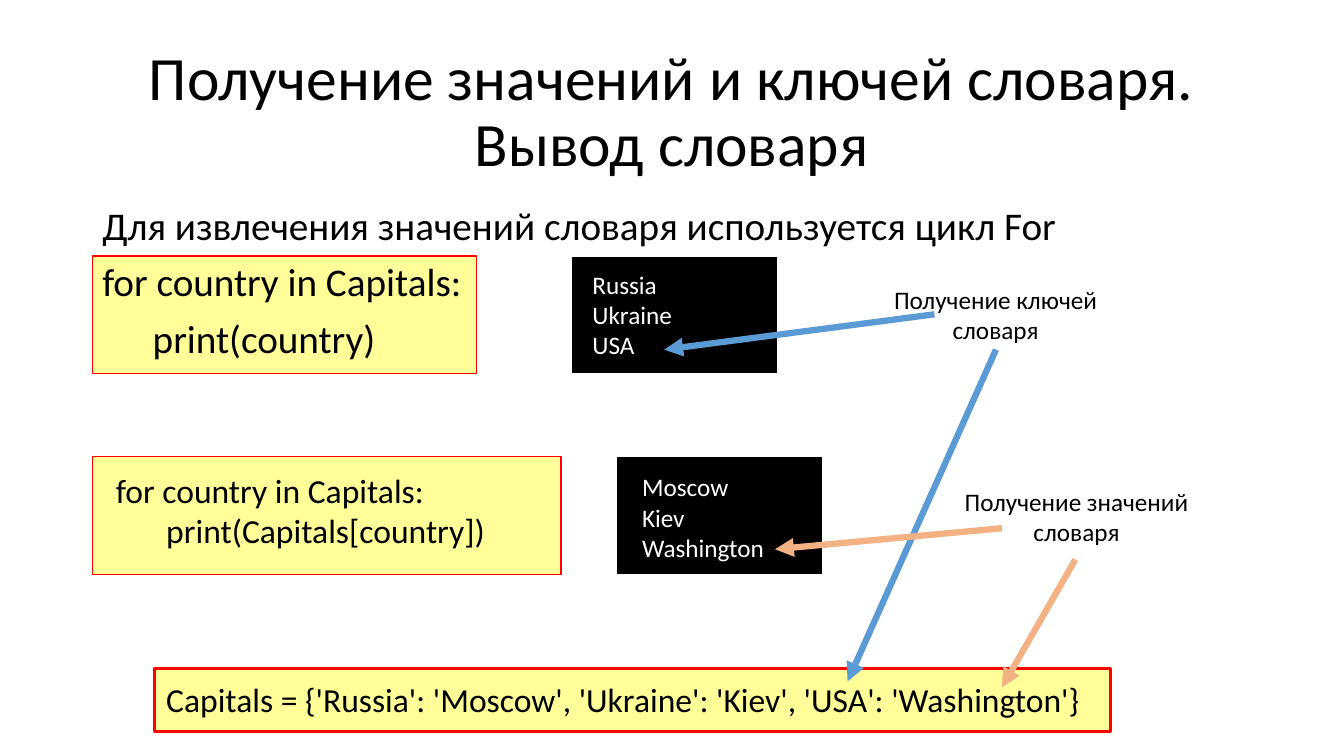
from lxml import etree
from pptx import Presentation
from pptx.dml.color import RGBColor
from pptx.enum.shapes import MSO_CONNECTOR, MSO_SHAPE
from pptx.enum.text import MSO_ANCHOR, PP_ALIGN
from pptx.oxml.ns import qn
from pptx.util import Cm, Pt

FONT = "Calibri"
COLORS = {"yellow": "FFFF99", "red": "FF0000", "black": "000000",
          "white": "FFFFFF", "keys": "5B9BD5", "values": "F4B183"}

# Lengths in cm
MARGIN, CONTENT_W = 2.33, 29.21
KEYS_Y, VALUES_Y, BOX_H = 6.45, 11.51, 2.97
OUTPUT_W, LABEL_W = 5.21, 6.6

# (left, top, width, height), fill, line, line width in points
BOXES = [
    ((MARGIN, KEYS_Y, 9.68, BOX_H), "yellow", "red", 1),
    ((14.4, KEYS_Y, OUTPUT_W, BOX_H), "black", "white", 1),
    ((MARGIN, VALUES_Y, 11.81, BOX_H), "yellow", "red", 1),
    ((15.52, VALUES_Y, OUTPUT_W, BOX_H), "black", "white", 1),
    ((3.89, 16.84, 24.1, 1.6), "yellow", "red", 2.25),
]

# (left, top, width, height), paragraphs, size in points, format options
TEXTS = [
    ((MARGIN, 1.02, CONTENT_W, 3.68),
     ["Получение значений и ключей словаря. Вывод словаря"], 44,
     {"center": True, "middle": True, "spacing": 0.9}),
    ((MARGIN, 5.08, CONTENT_W, 12.09),
     ["Для извлечения значений словаря используется цикл For",
      "for country in Capitals:", "\tprint(country)"], 28,
     {"spacing": 0.9, "before": 10}),
    ((14.68, 6.65, 2.54, 2.57), ["Russia", "Ukraine", "USA"], 18,
     {"color": "white", "wrap": False}),
    ((15.93, 11.76, 3.61, 2.57), ["Moscow", "Kiev", "Washington"], 18,
     {"color": "white", "wrap": False}),
    ((2.67, 11.71, 16.94, 2.31),
     ["for country in Capitals:", "\tprint(Capitals[country])"], 24, {}),
    ((3, 16.99, 25.4, 1.27),
     ["Capitals = {'Russia': 'Moscow', 'Ukraine': 'Kiev', "
      "'USA': 'Washington'}"], 24, {"center": True}),
    ((21.79, 7.04, LABEL_W, 1.8), ["Получение ключей словаря"], 18,
     {"center": True}),
    ((23.83, 12.12, LABEL_W, 1.8), ["Получение значений словаря"], 18,
     {"center": True}),
]

# start x, start y, end x, end y, colour
ARROWS = [
    ((23.55, 7.92, 16.74, 8.81), "keys"),
    ((25.1, 8.81, 21.36, 17.17), "keys"),
    ((25.25, 13.31, 19.53, 13.84), "values"),
    ((27.1, 14.1, 25.25, 17.32), "values"),
]


def rgb(name):
    """Return the named palette colour."""
    return RGBColor.from_string(COLORS[name])


def add_box(slide, place, fill, line, width):
    """Add a filled, outlined rectangle."""
    box = slide.shapes.add_shape(MSO_SHAPE.RECTANGLE, *map(Cm, place))
    box.shadow.inherit = False
    box.fill.solid()
    box.fill.fore_color.rgb = rgb(fill)
    box.line.color.rgb = rgb(line)
    box.line.width = Pt(width)


def add_text(slide, place, lines, size, color="black", center=False,
             middle=False, wrap=True, spacing=1.0, before=0):
    """Add a text box with one paragraph per line."""
    frame = slide.shapes.add_textbox(*map(Cm, place)).text_frame
    frame.word_wrap = wrap
    frame.vertical_anchor = MSO_ANCHOR.MIDDLE if middle else MSO_ANCHOR.TOP
    for i, line in enumerate(lines):
        paragraph = frame.add_paragraph() if i else frame.paragraphs[0]
        paragraph.alignment = PP_ALIGN.CENTER if center else PP_ALIGN.LEFT
        paragraph.line_spacing = spacing
        paragraph.space_before = Pt(before)
        run = paragraph.add_run()
        run.text = line
        run.font.name = FONT
        run.font.size = Pt(size)
        run.font.color.rgb = rgb(color)


def add_arrow(slide, ends, color):
    """Add a thick straight arrow without a shadow."""
    arrow = slide.shapes.add_connector(MSO_CONNECTOR.STRAIGHT, *map(Cm, ends))
    arrow.line.color.rgb = rgb(color)
    arrow.line.width = Pt(4.5)
    properties = arrow._element.spPr
    etree.SubElement(properties.find(qn("a:ln")), qn("a:tailEnd"),
                     type="triangle")
    etree.SubElement(properties, qn("a:effectLst"))


def main():
    """Build and save the slide."""
    deck = Presentation()
    deck.slide_width, deck.slide_height = Cm(33.87), Cm(19.05)
    slide = deck.slides.add_slide(deck.slide_layouts[6])
    for box in BOXES:
        add_box(slide, *box)
    for place, lines, size, options in TEXTS:
        add_text(slide, place, lines, size, **options)
    for arrow in ARROWS:
        add_arrow(slide, *arrow)
    deck.save("out.pptx")


main()
